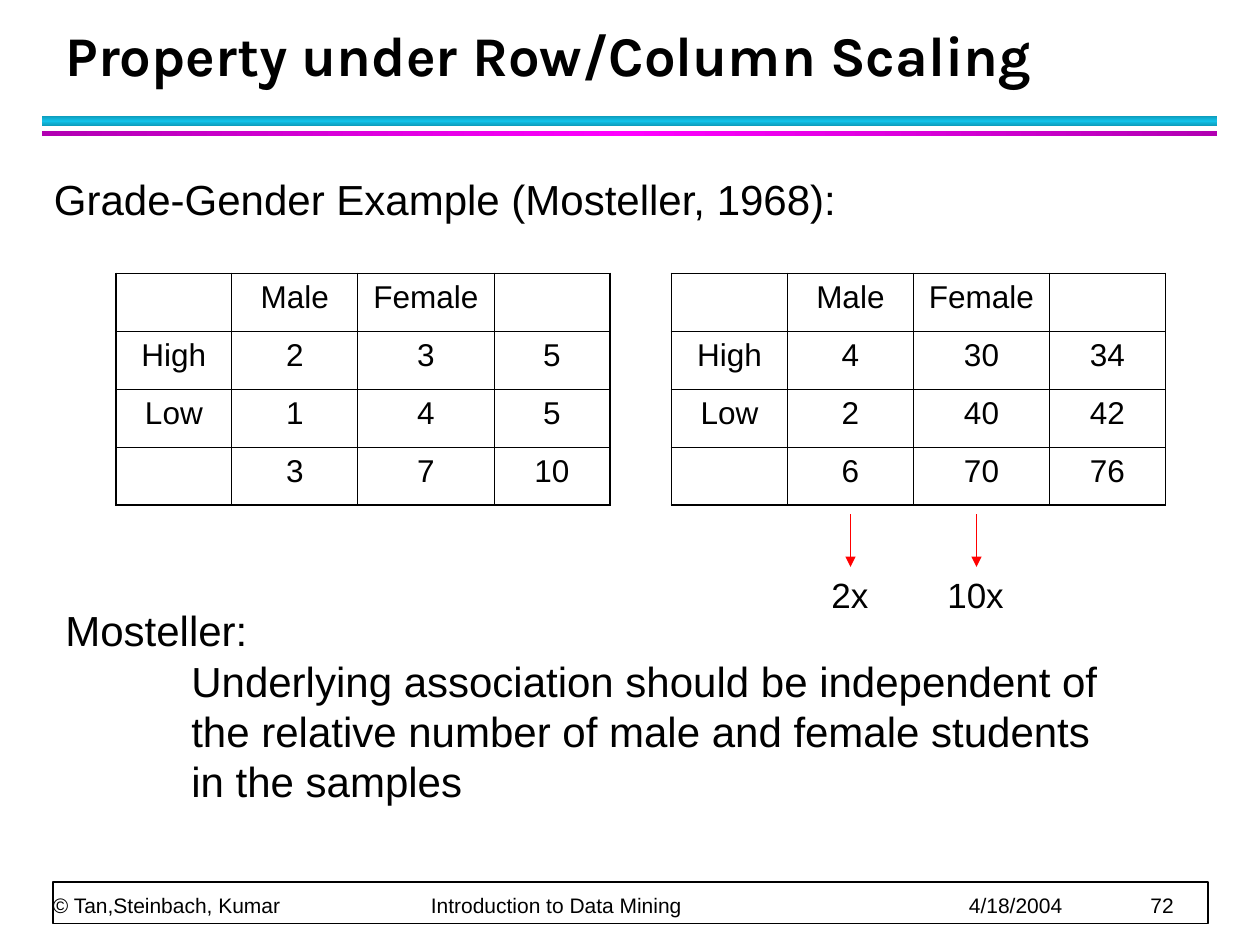
from lxml import etree
from pptx import Presentation
from pptx.dml.color import RGBColor
from pptx.enum.shapes import MSO_CONNECTOR, MSO_SHAPE
from pptx.enum.text import MSO_ANCHOR, PP_ALIGN
from pptx.oxml.ns import qn
from pptx.util import Inches, Pt

RECTANGLE = MSO_SHAPE.RECTANGLE
STRAIGHT = MSO_CONNECTOR.STRAIGHT
BOTTOM = MSO_ANCHOR.BOTTOM
LEFT, CENTER = PP_ALIGN.LEFT, PP_ALIGN.CENTER

COLORS = {
    "black": "000000", "white": "FFFFFF", "arrow": "FF0000",
    "cyan": "12C2E9", "dark cyan": "0E9BBA",
    "magenta": "FF00FF", "dark magenta": "B200B2",
}
BODY_FONT, TITLE_FONT = "Arial", "Karla"

TITLE = "Property under Row/Column Scaling"
# top, height, edge colour, middle colour, angle
RULES = [
    (0.92, 0.08, "dark cyan", "cyan", 90),
    (1.04, 0.04, "dark magenta", "magenta", 0),
]
EXAMPLE = "Grade-Gender Example (Mosteller, 1968):"
TABLES = [
    (0.92, [("", "Male", "Female", ""), ("High", "2", "3", "5"),
            ("Low", "1", "4", "5"), ("", "3", "7", "10")]),
    (5.33, [("", "Male", "Female", ""), ("High", "4", "30", "34"),
            ("Low", "2", "40", "42"), ("", "6", "70", "76")]),
]
TABLE_TOP, ROW_HEIGHT = 2.17, 0.46
COLUMN_WIDTHS = (0.92, 1, 1.08, 0.92)
OUTER_LINE, INNER_LINE = 1.08, 0.45
# arrow x, label left, label
SCALINGS = [(6.75, 6.5, "2x"), (7.75, 7.42, "10x")]
ARROW_TOP, ARROW_BOTTOM = 4.08, 4.5
CONCLUSION_HEAD = "Mosteller:"
CONCLUSION_LINES = [
    "Underlying association should be independent of",
    "the relative number of male and female students",
    "in the samples",
]
FOOTER = ["© Tan,Steinbach, Kumar", "Introduction to Data Mining", "4/18/2004", "72"]
FOOTER_TABS = (3, 7.27, 8.71)


def color(name):
    return RGBColor.from_string(COLORS[name])


def format_text(text_frame, size, font=BODY_FONT, bold=False):
    for paragraph in text_frame.paragraphs:
        for run in paragraph.runs:
            run.font.size = Pt(size)
            run.font.name = font
            run.font.bold = bold
            run.font.color.rgb = color("black")


def add_text(slide, left, top, width, height, text, size):
    text_frame = slide.shapes.add_textbox(
        Inches(left), Inches(top), Inches(width), Inches(height)).text_frame
    text_frame.word_wrap = True
    text_frame.text = text
    format_text(text_frame, size)
    return text_frame


def add_rectangle(slide, left, top, width, height):
    shape = slide.shapes.add_shape(
        RECTANGLE, Inches(left), Inches(top), Inches(width), Inches(height))
    shape.shadow.inherit = False
    return shape


def add_rule(slide, top, height, edge, middle, angle):
    """Draw a title rule whose gradient runs edge, middle, edge."""
    shape = add_rectangle(slide, 0.33, top, 9.33, height)
    shape.line.fill.background()
    shape.fill.gradient()
    shape.fill.gradient_angle = angle
    stops = shape._element.spPr.find(".//" + qn("a:gsLst"))
    for stop in list(stops):
        stops.remove(stop)
    for position, name in ((0, edge), (50, middle), (100, edge)):
        stop = etree.SubElement(stops, qn("a:gs"), pos=str(position * 1000))
        etree.SubElement(stop, qn("a:srgbClr"), val=COLORS[name])


def set_borders(cell, widths):
    """Set the left, right, top and bottom borders, widths in points."""
    properties = cell._tc.get_or_add_tcPr()
    for index, (side, width) in enumerate(zip("LRTB", widths)):
        line = etree.Element(qn(f"a:ln{side}"), w=str(Pt(width)))
        fill = etree.SubElement(line, qn("a:solidFill"))
        etree.SubElement(fill, qn("a:srgbClr"), val=COLORS["black"])
        properties.insert(index, line)


def add_grade_table(slide, left, rows):
    last_row, last_column = len(rows) - 1, len(COLUMN_WIDTHS) - 1
    table = slide.shapes.add_table(
        len(rows), len(COLUMN_WIDTHS), Inches(left), Inches(TABLE_TOP),
        Inches(sum(COLUMN_WIDTHS)), Inches(ROW_HEIGHT * len(rows))).table
    table.first_row = table.horz_banding = False
    for column, width in zip(table.columns, COLUMN_WIDTHS):
        column.width = Inches(width)
    for r, row in enumerate(rows):
        table.rows[r].height = Inches(ROW_HEIGHT)
        for c, text in enumerate(row):
            cell = table.cell(r, c)
            cell.fill.background()
            cell.text_frame.text = text
            cell.text_frame.paragraphs[0].alignment = CENTER
            format_text(cell.text_frame, 18)
            on_edge = (c == 0, c == last_column, r == 0, r == last_row)
            set_borders(cell, [OUTER_LINE if edge else INNER_LINE for edge in on_edge])


def add_arrow(slide, x):
    arrow = slide.shapes.add_connector(
        STRAIGHT, Inches(x), Inches(ARROW_TOP), Inches(x), Inches(ARROW_BOTTOM))
    arrow.line.color.rgb = color("arrow")
    arrow.line.width = Pt(1)
    etree.SubElement(arrow.line._get_or_add_ln(), qn("a:tailEnd"), type="triangle")
    etree.SubElement(arrow._element.spPr, qn("a:effectLst"))


def add_title(slide):
    title = slide.shapes.title
    title.left, title.top = Inches(0.42), Inches(0.17)
    title.width, title.height = Inches(9.06), Inches(0.58)
    text_frame = title.text_frame
    text_frame.text = TITLE
    text_frame.vertical_anchor = BOTTOM
    text_frame.paragraphs[0].alignment = LEFT
    text_frame.paragraphs[0].line_spacing = Pt(36)
    format_text(text_frame, 32, TITLE_FONT, True)


def add_footer(slide):
    frame = add_rectangle(slide, 0.42, 7, 9.17, 0.33)
    frame.fill.solid()
    frame.fill.fore_color.rgb = color("white")
    frame.line.color.rgb = color("black")
    frame.line.width = Pt(1)
    text_frame = add_text(slide, 0.42, 6.72, 9.15, 0.56, "\t".join(FOOTER), 12)
    text_frame.margin_left = text_frame.margin_right = 0
    text_frame.margin_top = text_frame.margin_bottom = 0
    text_frame.vertical_anchor = BOTTOM
    paragraph = text_frame.paragraphs[0]
    paragraph.line_spacing = Pt(20)
    tabs = etree.SubElement(paragraph._p.get_or_add_pPr(), qn("a:tabLst"))
    for position in FOOTER_TABS:
        etree.SubElement(tabs, qn("a:tab"), pos=str(Inches(position)), algn="l")


def add_conclusion(slide):
    text = CONCLUSION_HEAD + "\n" + "\v".join(CONCLUSION_LINES)
    text_frame = add_text(slide, 0.42, 4.75, 8.42, 1.7, text, 24)
    properties = text_frame.paragraphs[1]._p.get_or_add_pPr()
    properties.set("marL", str(Inches(1)))
    properties.set("indent", "0")


def main():
    presentation = Presentation()
    presentation.slide_width, presentation.slide_height = Inches(10), Inches(7.5)
    slide = presentation.slides.add_slide(presentation.slide_layouts[5])
    for rule in RULES:
        add_rule(slide, *rule)
    add_footer(slide)
    add_title(slide)
    for left, rows in TABLES:
        add_grade_table(slide, left, rows)
    add_text(slide, 0.33, 1.33, 8.42, 0.5, EXAMPLE, 24)
    add_conclusion(slide)
    for arrow_x, label_left, label in SCALINGS:
        add_arrow(slide, arrow_x)
        add_text(slide, label_left, ARROW_BOTTOM, 0.67, 0.44, label, 20)
    presentation.save("out.pptx")


if __name__ == "__main__":
    main()
